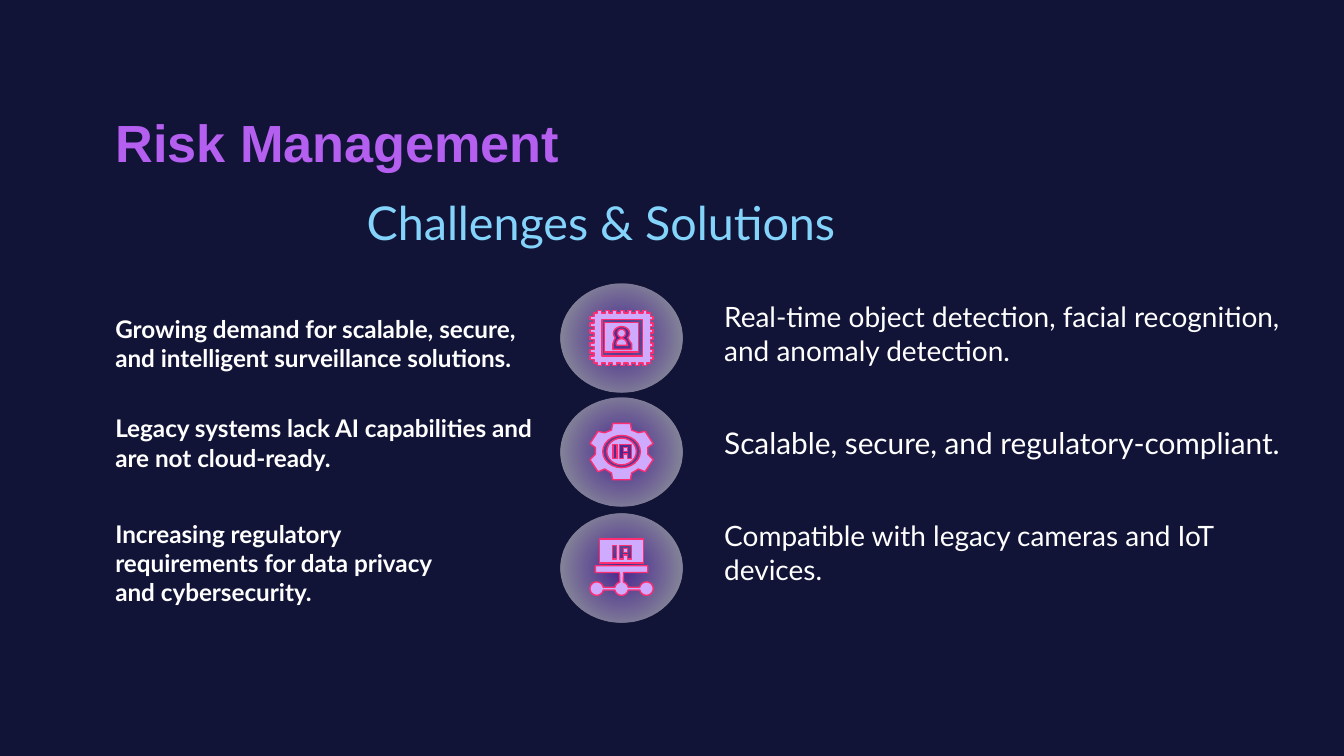
import math
import pptx
import pptx.dml.color
import pptx.enum.shapes
import pptx.enum.text
import pptx.oxml
import pptx.oxml.ns
import pptx.util
from pptx.util import Inches

MIDDLE = pptx.enum.text.MSO_ANCHOR.MIDDLE
TOP = pptx.enum.text.MSO_ANCHOR.TOP
ICON_LEFT, ICON_RIGHT = 4.39, 4.86
CENTER_X = (ICON_LEFT + ICON_RIGHT) / 2

HEADINGS = [
    ("Challenges & Solutions", (2.63, 1.34, 4.88, 0.63), dict(size=25, name="Lato", color="83D3FA")),
    ("Risk Management", (0.76, 0.72, 4.35, 0.63), dict(size=28, name="Arial", color="B45FF0", bold=True)),
]
SOLUTIONS = [
    ("Real-time object detection, facial recognition, and anomaly detection.", 2.21, 15),
    ("Scalable, secure, and regulatory-compliant.", 3.02, 16),
    ("Compatible with legacy cameras and IoT devices.", 3.84, 15),
]
CHALLENGES = [
    ("Growing demand for scalable, secure, and intelligent surveillance solutions.", 2.21, 3.2, 0.1),
    ("Legacy systems lack AI capabilities and are not cloud-ready.", 3.06, 3.43, 0.32),
    ("Increasing regulatory requirements for data privacy and cybersecurity.", 3.84, 2.62, 0.1),
]
BADGE_TOPS = [2.11, 2.96, 3.82]
GLOW_STOPS = [(0, "8134EC"), (77, "FFFFFF"), (100, "FFFFFF")]


def rgb(value):
    return pptx.dml.color.RGBColor.from_string(value)


def add_text(slide, text, box, font, anchor=TOP, bottom=0.1):
    frame = slide.shapes.add_textbox(*map(Inches, box)).text_frame
    settings = dict(word_wrap=True, vertical_anchor=anchor, margin_left=Inches(0.1),
                    margin_right=Inches(0.1), margin_top=Inches(0.1), margin_bottom=Inches(bottom))
    for key, value in settings.items():
        setattr(frame, key, value)
    run = frame.paragraphs[0].add_run()
    run.text = text
    for key, value in font.items():
        if key == "color":
            run.font.color.rgb = rgb(value)
        else:
            setattr(run.font, key, pptx.util.Pt(value) if key == "size" else value)


def add_badge(slide, top):
    badge = slide.shapes.add_shape(pptx.enum.shapes.MSO_SHAPE.OVAL, Inches(4.17), Inches(top),
                                   Inches(0.91), Inches(0.81))
    badge.shadow.inherit = False
    badge.line.fill.background()
    badge.fill.background()
    stops = "".join(f'<a:gs pos="{position * 1000}"><a:srgbClr val="{color}"><a:alpha val="49000"/>'
                    "</a:srgbClr></a:gs>" for position, color in GLOW_STOPS)
    glow = pptx.oxml.parse_xml(
        f'<a:gradFill {pptx.oxml.ns.nsdecls("a")}><a:gsLst>{stops}</a:gsLst><a:path path="circle">'
        '<a:fillToRect l="50000" t="50000" r="50000" b="50000"/></a:path></a:gradFill>')
    properties = badge._element.spPr
    properties.replace(properties.find(pptx.oxml.ns.qn("a:noFill")), glow)


def rectangle(left, top, right, bottom):
    return [(left, top), (right, top), (right, bottom), (left, bottom)]


def arc(x, y, radius_x, radius_y, start=0, end=360, steps=24):
    angles = [math.radians(start + (end - start) * i / steps) for i in range(steps + 1)]
    return [(x + radius_x * math.cos(a), y + radius_y * math.sin(a)) for a in angles]


def toothed_edge(start, end, outward, teeth=15):
    points = []
    for i in range(teeth):
        for step in (i, i + 1):
            points.append(tuple(a + (b - a) * step / teeth + o * (i % 2)
                                for a, b, o in zip(start, end, outward)))
    return points


def chip_outline():
    corners = rectangle(4.42, 2.33, 4.84, 2.7)
    directions = [(0, -0.02), (0.02, 0), (0, 0.02), (-0.03, 0)]
    return [point for i in range(4)
            for point in toothed_edge(corners[i], corners[(i + 1) % 4], directions[i])]


def letters(top):
    low, bottom = top + 0.07, top + 0.1
    return [rectangle(4.56, top, 4.59, bottom),
            [(4.61, bottom), (4.64, bottom), (4.64, low), (4.67, low), (4.67, bottom),
             (4.7, bottom), (4.7, top), (4.61, top)]]


def letter_hole(top):
    return [rectangle(4.64, top + 0.02, 4.67, top + 0.05)]


def node(x, start, end):
    return arc(x, 4.38, 0.05, 0.05, start, end)


silhouette = ([(4.56, 2.6), (4.56, 2.56), (4.57, 2.53)]
              + arc(CENTER_X, 2.48, 0.06, 0.05, 140, 400)
              + [(4.68, 2.53), (4.7, 2.56), (4.7, 2.6)])
gear_half = [(4.69, 3.15), (4.7, 3.2), (4.75, 3.22), (4.8, 3.21), (4.86, 3.3), (4.82, 3.33),
             (4.82, 3.38), (4.86, 3.42), (4.8, 3.51), (4.75, 3.49), (4.7, 3.52), (4.69, 3.57)]
gear = gear_half + [(2 * CENTER_X - x, y) for x, y in reversed(gear_half)]
network = (node(ICON_LEFT + 0.05, 12, 348) + node(CENTER_X, 192, 255)
           + [(4.61, 4.26), (4.43, 4.26), (4.43, 4.21), (4.82, 4.21), (4.82, 4.26), (4.64, 4.26)]
           + node(CENTER_X, 285, 348) + node(ICON_RIGHT - 0.05, 192, 528) + node(CENTER_X, 12, 168))

ICONS = [
    [[arc(CENTER_X, 2.48, 0.03, 0.03)],
     [arc(CENTER_X, 2.56, 0.04, 0.04, 180, 360) + [(4.67, 2.57), (4.59, 2.57)]],
     [silhouette, rectangle(4.5, 2.4, 4.75, 2.62)],
     [rectangle(4.48, 2.38, 4.78, 2.65), chip_outline()]],
    [letters(3.31) + [arc(CENTER_X, 3.36, 0.11, 0.1)],
     letter_hole(3.31),
     [arc(CENTER_X, 3.36, 0.14, 0.12), gear]],
    [letter_hole(4.06),
     letters(4.06) + [rectangle(4.46, 4.01, 4.79, 4.19)],
     [network]],
]


def add_outline(group, contours):
    contours = [[(Inches(x), Inches(y)) for x, y in contour] for contour in contours]
    builder = group.shapes.build_freeform(*contours[0][0])
    for i, contour in enumerate(contours):
        if i:
            builder.move_to(*contour[0])
        builder.add_line_segments(contour[1:], close=True)
    shape = builder.convert_to_shape()
    shape.shadow.inherit = False
    shape.fill.solid()
    shape.fill.fore_color.rgb = rgb("CEABFF")
    shape.line.color.rgb = rgb("FF2E73")
    shape.line.width = pptx.util.Pt(0.75)


def main():
    presentation = pptx.Presentation()
    presentation.slide_width = Inches(10)
    presentation.slide_height = Inches(10 * 9 / 16)
    slide = presentation.slides.add_slide(presentation.slide_layouts[6])
    slide.background.fill.solid()
    slide.background.fill.fore_color.rgb = rgb("121437")
    for text, box, font in HEADINGS:
        add_text(slide, text, box, font)
    body = dict(name="Lato", color="FFFFFF")
    for text, top, size in SOLUTIONS:
        add_text(slide, text, (5.29, top, 4.58, 0.69), dict(body, size=size), MIDDLE, 0.25)
    for text, top, width, bottom in CHALLENGES:
        add_text(slide, text, (0.76, top, width, 0.69), dict(body, size=13, bold=True), MIDDLE, bottom)
    for top in BADGE_TOPS:
        add_badge(slide, top)
    for icon in ICONS:
        group = slide.shapes.add_group_shape()
        for contours in icon:
            add_outline(group, contours)
    presentation.save("out.pptx")


if __name__ == "__main__":
    main()
